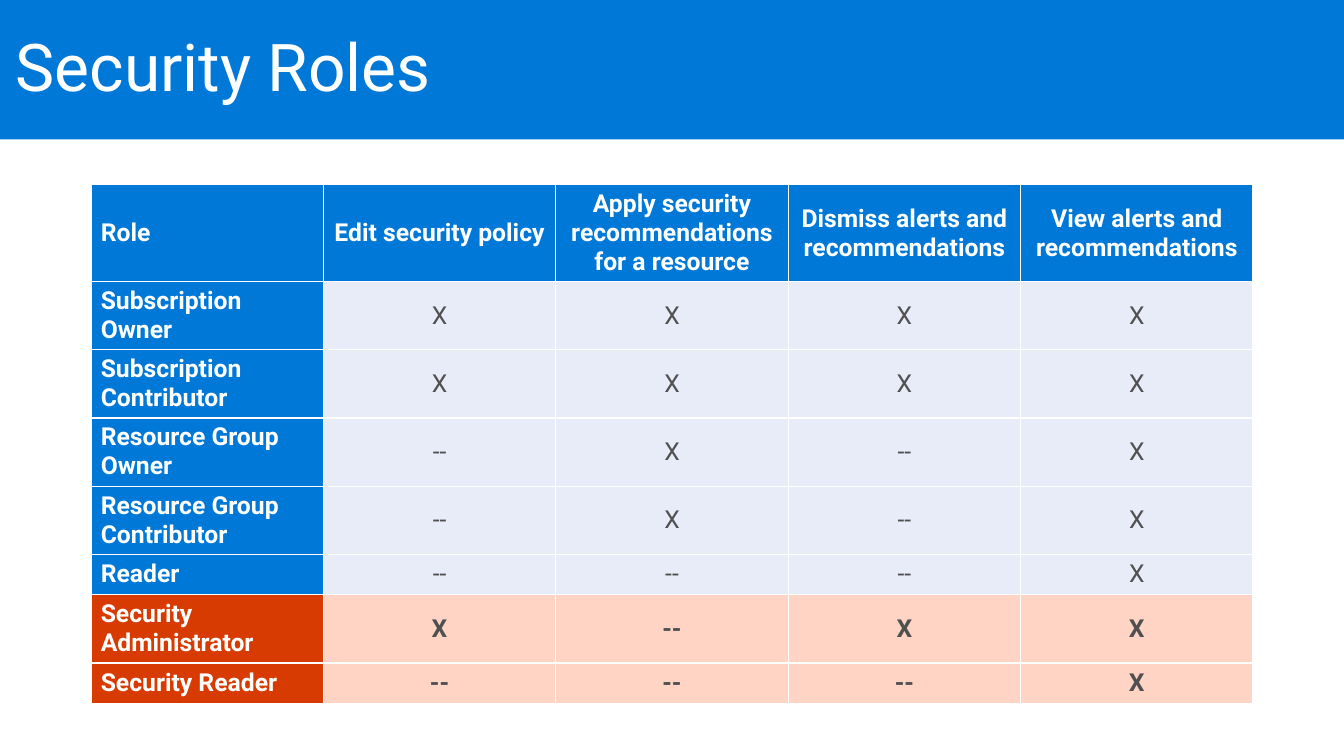
from pptx import Presentation
from pptx import util as u
from pptx.dml.color import RGBColor
from pptx.enum import text

PX = 9144  # 100 px to the inch
FONT = "Roboto"
COLORS = {
    "white": "FFFFFF", "blue": "0078D7", "pale_blue": "E7ECF8",
    "orange": "D83B01", "pale_orange": "FFD4C5", "gray": "505050",
}
HEADINGS = ["Role", "Edit security policy",
            "Apply security recommendations for a resource",
            "Dismiss alerts and recommendations",
            "View alerts and recommendations"]
# Role, its permissions, lines of text in the row
ROLES = [
    ("Subscription Owner", "X X X X", 2),
    ("Subscription Contributor", "X X X X", 2),
    ("Resource Group Owner", "-- X -- X", 2),
    ("Resource Group Contributor", "-- X -- X", 2),
    ("Reader", "-- -- -- X", 1),
    ("Security Administrator", "X -- X X", 2),
    ("Security Reader", "-- -- -- X", 1),
]


def px(n):
    return u.Emu(n * PX)


def rgb(name):
    return RGBColor.from_string(COLORS[name])


def write(tf, value, size=18, color="white", bold=False, align="LEFT"):
    p = tf.paragraphs[0]
    p.alignment = getattr(text.PP_ALIGN, align)
    r = p.add_run()
    r.text = value
    r.font.name, r.font.size, r.font.bold = FONT, u.Pt(size), bold
    r.font.color.rgb = rgb(color)
    return p


def fill_cell(cell, value, fill, **fmt):
    cell.fill.solid()
    cell.fill.fore_color.rgb = rgb(fill)
    cell.vertical_anchor = text.MSO_ANCHOR.MIDDLE
    write(cell.text_frame, value, **fmt)


def title_band(s, x, y, w, h):
    sp = s.shapes.title
    sp.left, sp.top, sp.width, sp.height = px(x), px(y), px(w), px(h)
    sp.fill.solid()
    sp.fill.fore_color.rgb = rgb("blue")
    tf = sp.text_frame
    tf.auto_size = text.MSO_AUTO_SIZE.NONE
    tf.vertical_anchor = text.MSO_ANCHOR.MIDDLE
    tf.margin_left = tf.margin_right = px(16)
    tf.margin_top = tf.margin_bottom = px(10)
    write(tf, "Security Roles", size=48).line_spacing = 0.9


def roles_table(s, x, y, w, h):
    # The default table style supplies the white rules
    tbl = s.shapes.add_table(len(ROLES) + 1, len(HEADINGS),
                             px(x), px(y), px(w), px(h)).table
    tbl.horz_banding = False
    for row, lines in zip(tbl.rows, [3] + [role[2] for role in ROLES]):
        row.height = px(13 + 28 * lines)

    # Header row
    for c, heading in enumerate(HEADINGS):
        fill_cell(tbl.cell(0, c), heading, "blue", bold=True,
                  align="CENTER" if c else "LEFT")

    # One row per role; the security roles stand out
    for i, (role, marks, _) in enumerate(ROLES, 1):
        security = role.startswith("Security")
        accent = "orange" if security else "blue"
        fill_cell(tbl.cell(i, 0), role, accent, bold=True)
        for c, mark in enumerate(marks.split(), 1):
            fill_cell(tbl.cell(i, c), mark, "pale_" + accent, color="gray",
                      bold=security, align="CENTER")


def main():
    prs = Presentation()
    prs.slide_width, prs.slide_height = px(1360), px(765)
    s = prs.slides.add_slide(prs.slide_layouts[5])
    title_band(s, 0, 0, 1360, 141)
    roles_table(s, 92, 187, 1176, 524)
    prs.save("out.pptx")


if __name__ == "__main__":
    main()
